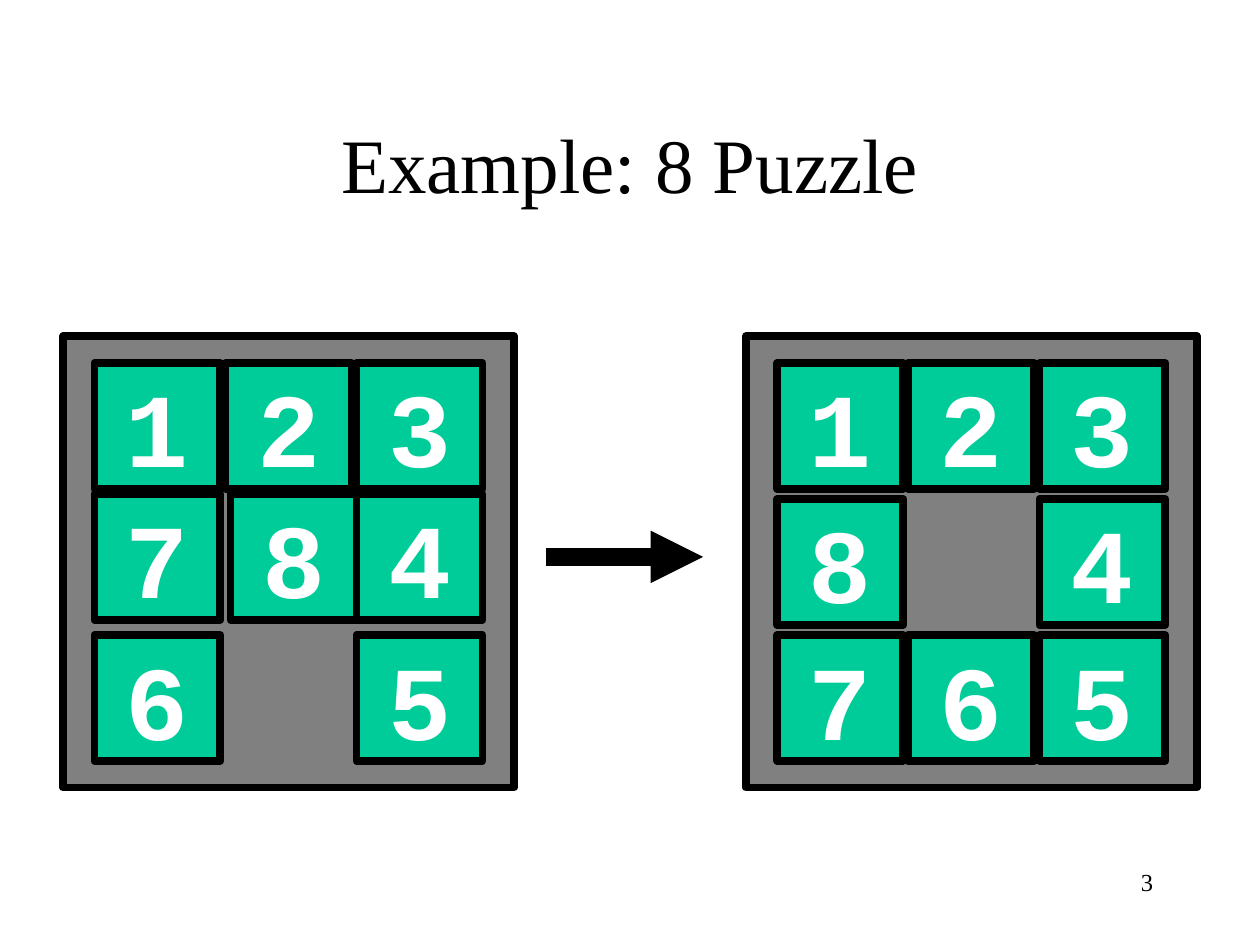
from lxml import etree
from pptx import Presentation
from pptx import util as u
from pptx.dml.color import RGBColor
from pptx.enum import shapes, text
from pptx.oxml.ns import qn

BLACK = RGBColor(0x00, 0x00, 0x00)
WHITE = RGBColor(0xFF, 0xFF, 0xFF)
GRAY = RGBColor(0x80, 0x80, 0x80)
GREEN = RGBColor(0x00, 0xCC, 0x99)

TITLE_FORMAT = {"name": "Times New Roman", "size": u.Pt(44), "bold": False}
TILE_FORMAT = {"name": "Courier New", "size": u.Pt(60), "bold": True}
NUMBER_FORMAT = {"name": "Times New Roman", "size": u.Pt(14), "bold": False}

BOARD_TOP, BOARD_SIZE = 2.67, 3.58
TILE_SIZE, TILE_PITCH, TILE_INSET = 1, 1.04, 0.25
FIRST_ROW, LAST_ROW = 2.88, 5.04


def write(shape, words, format_values, color, align, anchor, wrap=True):
    """Put one formatted paragraph into a shape."""
    frame = shape.text_frame
    frame.word_wrap = wrap
    frame.vertical_anchor = anchor
    para = frame.paragraphs[0]
    para.alignment = align
    span = para.add_run()
    span.text = words
    for name, value in format_values.items():
        setattr(span.font, name, value)
    span.font.color.rgb = color


def add_square(parent, left, top, size, color):
    """Add a filled square with a heavy black outline."""
    square = parent.add_shape(
        shapes.MSO_SHAPE.RECTANGLE,
        *(u.Inches(value) for value in (left, top, size, size)))
    square.shadow.inherit = False
    square.fill.solid()
    square.fill.fore_color.rgb = color
    square.line.color.rgb = BLACK
    square.line.width = u.Pt(4.5)
    return square


def add_board(page, left, middle_row, rows, shifts, grouped=False):
    """Add a board and its tiles; a space in a row is the empty cell."""
    add_square(page.shapes, left, BOARD_TOP, BOARD_SIZE, GRAY)
    parent = page.shapes.add_group_shape().shapes if grouped else page.shapes
    for top, row in zip((FIRST_ROW, middle_row, LAST_ROW), rows):
        for column, digit in enumerate(row):
            if digit == " ":
                continue
            x = left + TILE_INSET + column * TILE_PITCH + shifts.get(digit, 0)
            tile = add_square(parent, x, top, TILE_SIZE, GREEN)
            write(tile, digit, TILE_FORMAT, WHITE, text.PP_ALIGN.CENTER,
                  text.MSO_ANCHOR.MIDDLE, wrap=False)


def add_arrow(page, start, end, y):
    """Add a thick horizontal arrow."""
    arrow = page.shapes.add_connector(
        shapes.MSO_CONNECTOR.STRAIGHT,
        *(u.Inches(value) for value in (start, y, end, y)))
    arrow.line.color.rgb = BLACK
    arrow.line.width = u.Pt(10)
    etree.SubElement(arrow.line._get_or_add_ln(), qn("a:tailEnd"), type="triangle")
    etree.SubElement(arrow._element.spPr, qn("a:effectLst"))


def main():
    deck = Presentation()
    deck.slide_width, deck.slide_height = u.Inches(10), u.Inches(7.5)
    page = deck.slides.add_slide(deck.slide_layouts[5])

    # Title
    title = page.shapes.title
    title.left, title.top = u.Inches(0.75), u.Inches(0.67)
    title.width, title.height = u.Inches(8.5), u.Inches(1.25)
    write(title, "Example: 8 Puzzle", TITLE_FORMAT, BLACK,
          text.PP_ALIGN.CENTER, text.MSO_ANCHOR.MIDDLE)

    # Start board, arrow and goal board
    add_board(page, 0.5, 3.92, ("123", "784", "6 5"), {"8": 0.04})
    add_arrow(page, 4.33, 5.58, 4.42)
    add_board(page, 5.92, 3.96, ("123", "8 4", "765"), {}, grouped=True)

    # Page number
    box = page.shapes.add_textbox(
        u.Inches(7.17), u.Inches(6.83), u.Inches(2.08), u.Inches(0.5))
    write(box, "3", NUMBER_FORMAT, BLACK, text.PP_ALIGN.RIGHT, text.MSO_ANCHOR.TOP)

    deck.save("out.pptx")


if __name__ == "__main__":
    main()
